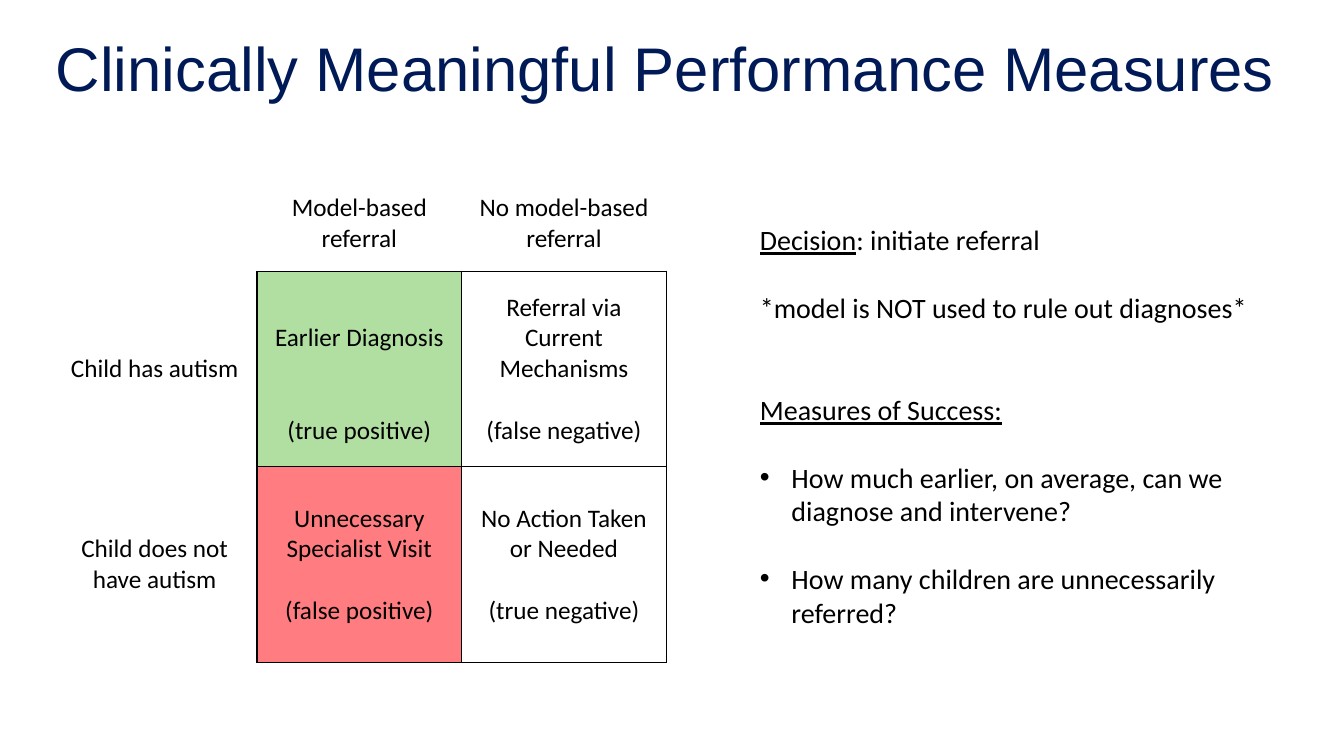
from pptx import Presentation
from pptx.dml.color import RGBColor
from pptx.enum.text import MSO_ANCHOR as Anchor, PP_ALIGN as Align
from pptx.oxml.ns import qn
from pptx.util import Pt
from lxml.etree import SubElement

BLACK, NAVY, GREEN, RED = "000000", "001A57", "B0DFA1", "FF7C80"
TABLE_LINE, NOTES_LINE = 22, 24.4  # line heights at 18 and 20 points

# Each cell: paragraphs as (text, empty lines above), then fill
OUTCOMES = [
    [([], None),
     ([("Model-based referral", 0)], None),
     ([("No model-based referral", 0)], None)],
    [([("Child has autism", 0)], None),
     ([("Earlier Diagnosis", 0), ("(true positive)", 2)], GREEN),
     ([("Referral via Current Mechanisms", 0), ("(false negative)", 1)], None)],
    [([("Child does not have autism", 0)], None),
     ([("Unnecessary Specialist Visit", 0), ("(false positive)", 1)], RED),
     ([("No Action Taken or Needed", 0), ("(true negative)", 1)], None)],
]

# Each note: underlined part, plain part, empty lines above, bulleted
NOTES = [
    ("Decision", ": initiate referral", 0, False),
    ("", "*model is NOT used to rule out diagnoses*", 1, False),
    ("Measures of Success:", "", 2, False),
    ("", "How much earlier, on average, can we diagnose and intervene?", 1, True),
    ("", "How many children are unnecessarily referred?", 1, True),
]


def color(value):
    return RGBColor.from_string(value)


def set_font(paragraph, name, size, value):
    font = paragraph.font
    font.name, font.size = name, Pt(size)
    font.color.rgb = color(value)


def add_box(slide, left, top, width, height):
    box = slide.shapes.add_textbox(Pt(left), Pt(top), Pt(width), Pt(height))
    box.text_frame.word_wrap = True
    return box.text_frame


def next_paragraph(frame, index):
    return frame.add_paragraph() if index else frame.paragraphs[0]


def add_bullet(paragraph):
    properties = paragraph._p.get_or_add_pPr()
    properties.set("marL", str(Pt(22.5)))
    properties.set("indent", str(-Pt(22.5)))
    SubElement(properties, qn("a:buFont"), typeface="Arial")
    SubElement(properties, qn("a:buChar"), char="•")


def set_borders(cell, visible):
    properties = cell._tc.get_or_add_tcPr()
    for side in ("L", "R", "T", "B"):
        line = SubElement(properties, qn(f"a:ln{side}"), w=str(Pt(1)))
        if side in visible:
            fill = SubElement(line, qn("a:solidFill"))
            SubElement(fill, qn("a:srgbClr"), val=BLACK)
        else:
            SubElement(line, qn("a:noFill"))


def add_title(slide, text):
    frame = add_box(slide, 19.4, 18.7, 912.2, 58.3)
    frame.vertical_anchor = Anchor.MIDDLE
    title = frame.paragraphs[0]
    title.text, title.alignment = text, Align.CENTER
    set_font(title, "Arial", 44, NAVY)


def fill_cell(cell, lines, fill):
    cell.vertical_anchor = Anchor.MIDDLE
    for index, (text, gap) in enumerate(lines):
        paragraph = next_paragraph(cell.text_frame, index)
        paragraph.text, paragraph.alignment = text, Align.CENTER
        if gap:
            paragraph.space_before = Pt(gap * TABLE_LINE)
        set_font(paragraph, "Calibri", 18, BLACK)
    if fill:
        cell.fill.solid()
        cell.fill.fore_color.rgb = color(fill)
    else:
        cell.fill.background()


def add_outcomes(slide):
    frame = slide.shapes.add_table(3, 3, Pt(37.4), Pt(125.3), Pt(438.6), Pt(347.8))
    table = frame.table
    table.first_row = table.horz_banding = False
    for column in table.columns:
        column.width = Pt(146.2)
    for row, height in zip(table.rows, (68.4, 139.7, 139.7)):
        row.height = Pt(height)
    for r, row in enumerate(OUTCOMES):
        for c, (lines, fill) in enumerate(row):
            cell = table.cell(r, c)
            # Only the four outcome cells are framed
            visible = "LRTB" if r and c else "R" if r else "B" if c else ""
            set_borders(cell, visible)
            fill_cell(cell, lines, fill)
    # The true positive text sits one line lower
    table.cell(1, 1).margin_top = Pt(3.6 + TABLE_LINE)


def add_notes(slide):
    frame = add_box(slide, 535.7, 155.5, 367.9, 298.1)
    for index, (underlined, plain, gap, bulleted) in enumerate(NOTES):
        paragraph = next_paragraph(frame, index)
        if gap:
            paragraph.space_before = Pt(gap * NOTES_LINE)
        if bulleted:
            add_bullet(paragraph)
        set_font(paragraph, "Calibri", 20, BLACK)
        if underlined:
            heading = paragraph.add_run()
            heading.text, heading.font.underline = underlined, True
        if plain:
            paragraph.add_run().text = plain


def main():
    deck = Presentation()
    deck.slide_width, deck.slide_height = Pt(960), Pt(540)
    slide = deck.slides.add_slide(deck.slide_layouts[6])
    add_notes(slide)
    add_title(slide, "Clinically Meaningful Performance Measures")
    add_outcomes(slide)
    deck.save("out.pptx")


if __name__ == "__main__":
    main()
